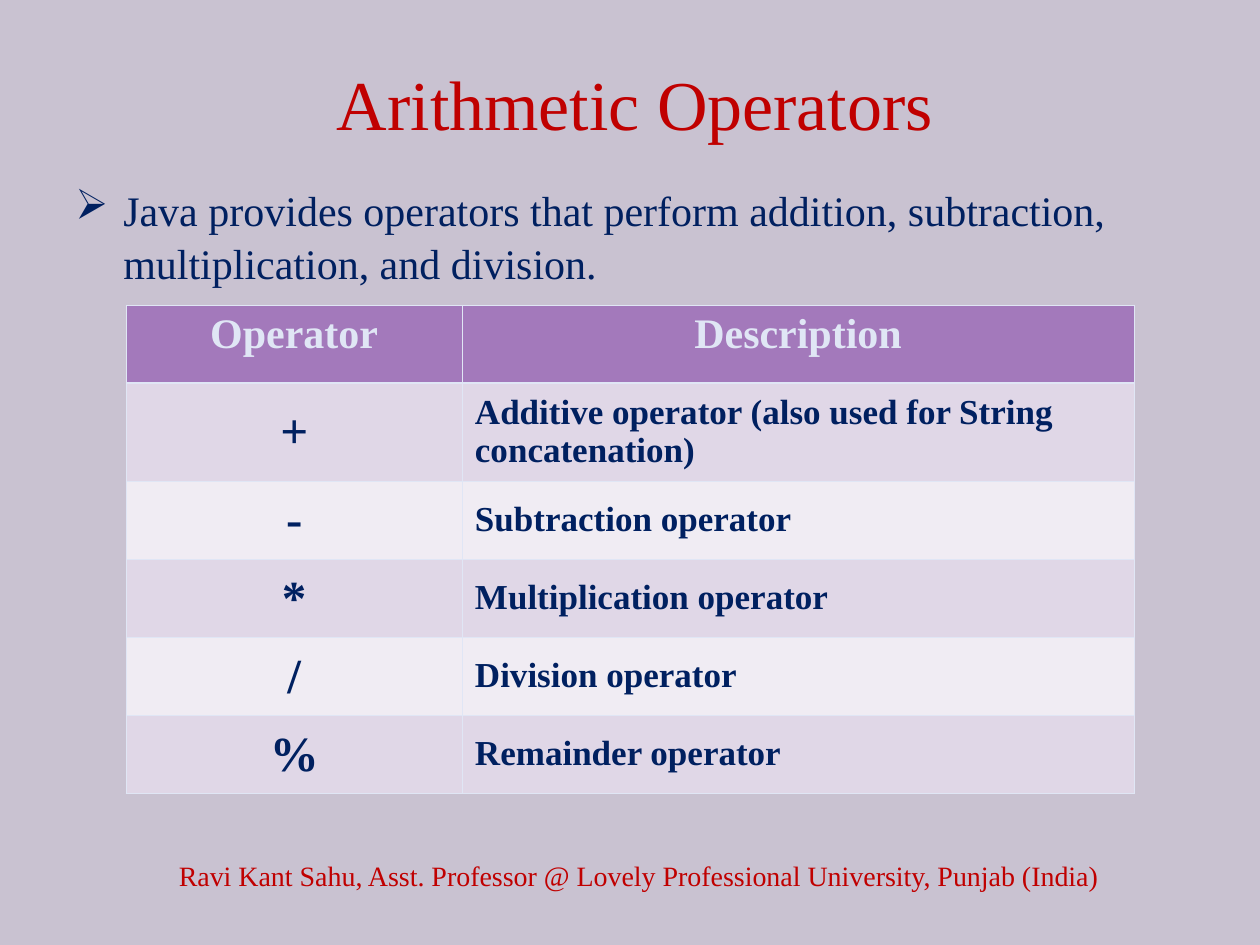
from pptx import Presentation
from pptx.dml.color import RGBColor
from pptx.enum.text import MSO_ANCHOR, PP_ALIGN
from pptx.oxml.ns import qn
from pptx.util import Inches, Pt
from lxml import etree

LEFT, CENTER = PP_ALIGN.LEFT, PP_ALIGN.CENTER
TOP, MIDDLE = MSO_ANCHOR.TOP, MSO_ANCHOR.MIDDLE
COLORS = {"back": "C9C2D1", "red": "C00000", "navy": "002060", "pale": "E0E6F5",
          "head": "A379BB", "odd": "E0D7E7", "even": "F0ECF3"}
ROWS = [
    ("Operator", "Description"),
    ("+", "Additive operator (also used for String concatenation)"),
    ("-", "Subtraction operator"),
    ("*", "Multiplication operator"),
    ("/", "Division operator"),
    ("%", "Remainder operator"),
]


class Deck:
    """Holds the style and the current slide, and draws each kind of element."""

    font = "Times New Roman"

    def __init__(self, slide):
        self.slide = slide
        self.paint(slide.background.fill, "back")

    def paint(self, fill, color):
        fill.solid()
        fill.fore_color.rgb = RGBColor.from_string(COLORS[color])

    def label(self, frame, text, size, color, align=LEFT, space=1.0, bold=False, bullet=None):
        par = frame.paragraphs[0]
        par.text = text
        for name, value in {"alignment": align, "line_spacing": space}.items():
            setattr(par, name, value)
        if bullet:
            self.mark(par, bullet, color)
        font = par.runs[0].font
        for name, value in {"name": self.font, "size": Pt(size), "bold": bold}.items():
            setattr(font, name, value)
        font.color.rgb = RGBColor.from_string(COLORS[color])

    def mark(self, par, bullet, color):
        props = par._p.get_or_add_pPr()
        props.set("marL", str(Inches(0.38)))
        props.set("indent", str(-Inches(0.38)))
        tint = etree.SubElement(props, qn("a:buClr"))
        etree.SubElement(tint, qn("a:srgbClr"), val=COLORS[color])
        etree.SubElement(props, qn("a:buChar"), char=bullet)

    def text(self, box, text, size, color, top=0.05, anchor=TOP, **style):
        frame = self.slide.shapes.add_textbox(*map(Inches, box)).text_frame
        for name, value in {"word_wrap": True, "vertical_anchor": anchor,
                            "margin_top": Inches(top)}.items():
            setattr(frame, name, value)
        self.label(frame, text, size, color, **style)

    def edge(self, cell, wide):
        props = cell._tc.get_or_add_tcPr()
        for spot, side in enumerate("LRTB"):
            line = etree.Element(qn(f"a:ln{side}"), w=str(Pt(1.47 if side == wide else 0.45)))
            fill = etree.SubElement(line, qn("a:solidFill"))
            etree.SubElement(fill, qn("a:srgbClr"), val=COLORS["pale"])
            props.insert(spot, line)

    def table(self, box, rows, widths, heights):
        grid = self.slide.shapes.add_table(len(rows), len(widths), *map(Inches, box)).table
        for col, width in zip(grid.columns, widths):
            col.width = Inches(width)
        for r, (row, height) in enumerate(zip(rows, heights)):
            grid.rows[r].height = Inches(height)
            shade = "head" if r == 0 else "odd" if r % 2 else "even"
            for c, text in enumerate(row):
                cell = grid.cell(r, c)
                cell.vertical_anchor = MIDDLE if r else TOP
                self.paint(cell.fill, shade)
                self.edge(cell, {0: "B", 1: "T"}.get(r))
                if r == 0:
                    style = {"size": 24, "color": "pale", "align": CENTER}
                elif c == 0:
                    style = {"size": 28, "color": "navy", "align": CENTER}
                else:
                    style = {"size": 20, "color": "navy", "space": 0.97}
                self.label(cell.text_frame, text, bold=True, **style)


def main():
    show = Presentation()
    show.slide_width, show.slide_height = Inches(10), Inches(7.5)
    deck = Deck(show.slides.add_slide(show.slide_layouts[6]))
    deck.text((0.33, 0.33, 9.42, 1.25), "Arithmetic Operators", 40, "red", top=0.15, align=CENTER)
    deck.text((0.5, 1.33, 9.25, 5.75),
              "Java provides operators that perform addition, subtraction, "
              "multiplication, and division.",
              24, "navy", top=0.12, space=1.04, bullet="➢")
    deck.text((0.92, 6.75, 8.3, 0.4),
              "Ravi Kant Sahu, Asst. Professor @ Lovely Professional University, Punjab (India)",
              16, "red", anchor=MIDDLE, align=CENTER)
    deck.table((1, 2.42, 8, 3.88), ROWS, (2.67, 5.33), [0.62, 0.78] + [0.62] * 4)
    show.save("out.pptx")


if __name__ == "__main__":
    main()
